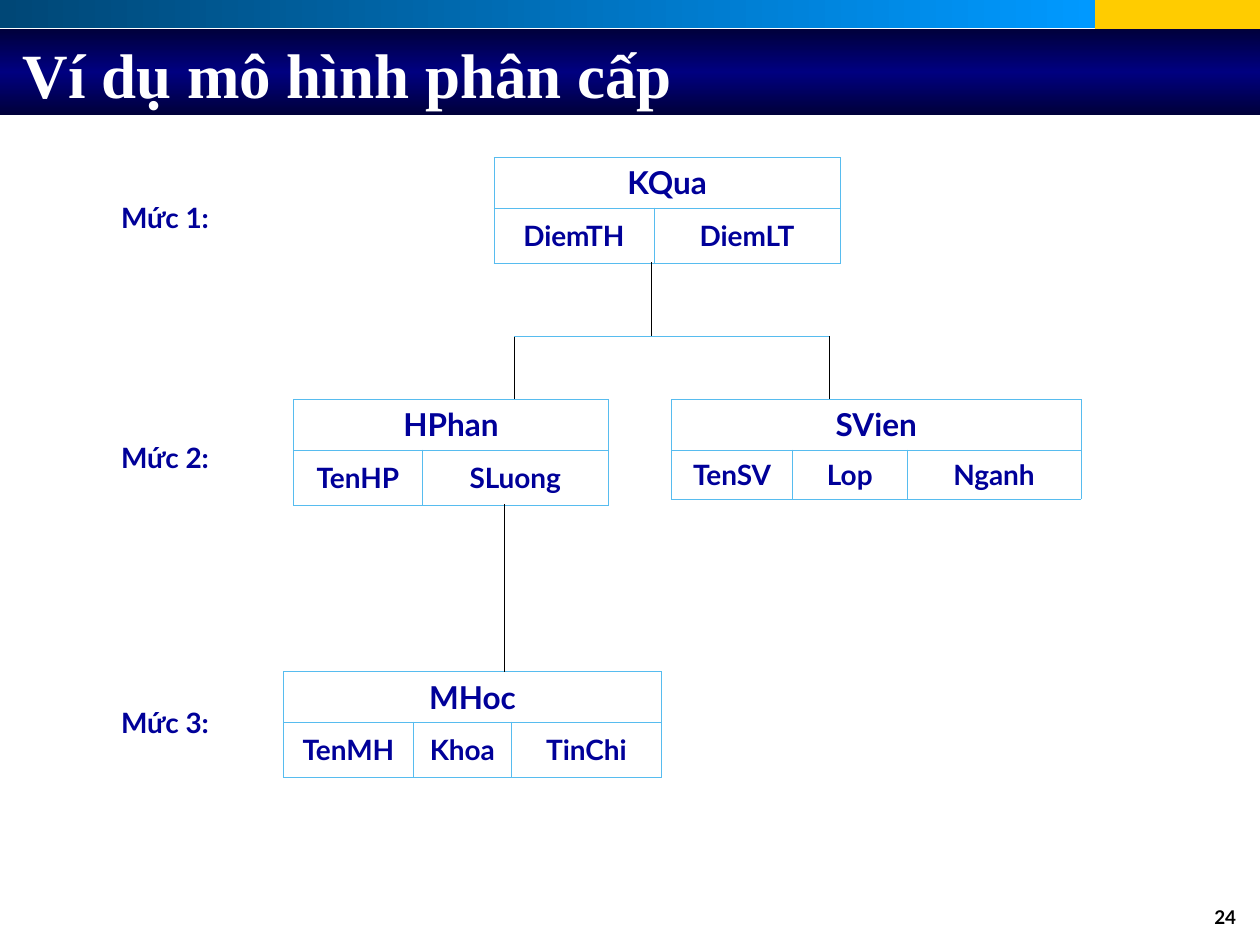
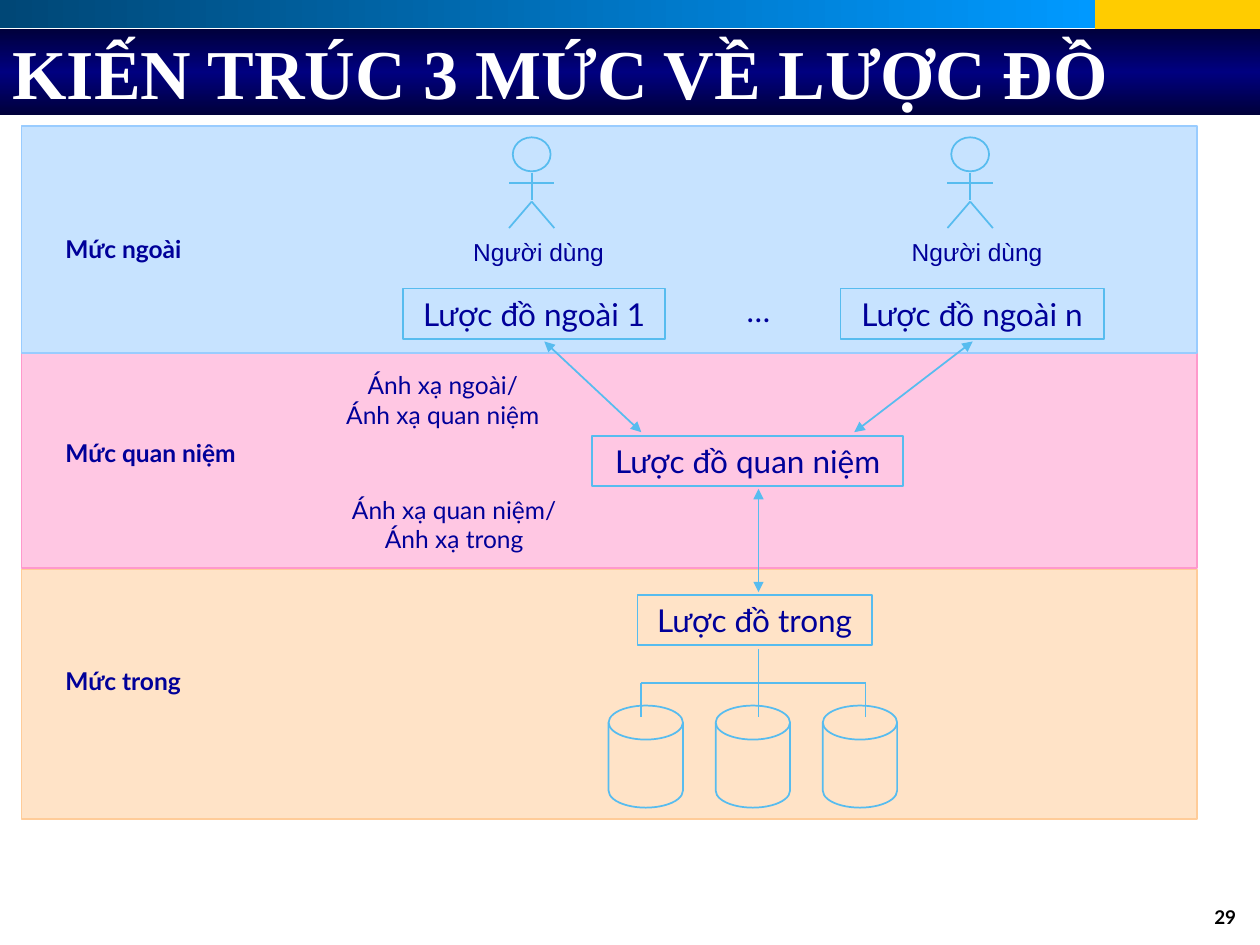
from pptx import Presentation
from pptx.dml.color import RGBColor
from pptx.enum.shapes import MSO_CONNECTOR, MSO_SHAPE
from pptx.enum.text import MSO_ANCHOR, MSO_AUTO_SIZE, PP_ALIGN
from pptx.oxml.ns import qn
from pptx.util import Inches, Pt
from lxml.etree import SubElement

COLORS = {
    "ink": "000099", "sky": "57BCEF", "black": "000000", "white": "FFFFFF",
    "yellow": "FFCC00", "teal": "004776", "azure": "0099FF",
    "midnight": "00003B", "navy": "000080",
    "blue": "99CCFF", "pink": "FF99CC", "orange": "FFCC99",
}
BODY_FONT, TITLE_FONT, USER_FONT = "Lato", "Times New Roman", "Arial"

TOP_BANDS = [
    ((8.69, 0, 1.31, 0.28), ["yellow"], 0),
    ((0, 0, 8.69, 0.22), ["teal", "azure"], 0),
    ((0, 0.23, 10, 0.68), ["midnight", "navy", "midnight"], 90),
]

HIERARCHY_TITLE = ("Ví dụ mô hình phân cấp", (0.08, 0.25, 9, 0.67), 36, "24")
HIERARCHY_LEVELS = [("Mức 1:", 1.54), ("Mức 2:", 3.45), ("Mức 3:", 5.55)]
RECORDS = [
    ("KQua", 3.92, 1.25, 0.44, [("DiemTH", 1.27), ("DiemLT", 1.48)]),
    ("HPhan", 2.33, 3.17, 0.44, [("TenHP", 1.02), ("SLuong", 1.48)]),
    ("SVien", 5.33, 3.17, 0.39, [("TenSV", 0.96), ("Lop", 0.91), ("Nganh", 1.38)]),
    ("MHoc", 2.25, 5.33, 0.44, [("TenMH", 1.03), ("Khoa", 0.78), ("TinChi", 1.19)]),
]
HEADER_HEIGHT = 0.4
FORK_LEFT, FORK_RIGHT, FORK_TOP = 4.08, 6.58, 2.67
RECORD_LINKS = [
    ((4, 4), (4, 5.33)),
    ((5.17, 2.08), (5.17, FORK_TOP)),
    ((FORK_LEFT, FORK_TOP), (FORK_LEFT, 3.17)),
    ((FORK_RIGHT, FORK_TOP), (FORK_RIGHT, 3.17)),
]

SCHEMA_TITLE = ("KIẾN TRÚC 3 MỨC VỀ LƯỢC ĐỒ", (0, 0.19, 9, 0.75), 40, "29")
SCHEMA_LEVELS = [
    ("Mức quan niệm", "pink", 2.8, 1.71, 3.43),
    ("Mức trong", "orange", 4.52, 1.98, 5.24),
    ("Mức ngoài", "blue", 1, 1.8, 1.81),
]
USERS = [("Người dùng", 4.22), ("Người dùng", 7.7)]
SCHEMAS = [
    ("Lược đồ ngoài 1", 3.2, 2.29, 2.08),
    ("Lược đồ ngoài n", 6.67, 2.29, 2.09),
    ("Lược đồ quan niệm", 4.7, 3.46, 2.47),
    ("Lược đồ trong", 5.06, 4.72, 1.86),
]
MAPPINGS = [
    ("Ánh xạ ngoài/\nÁnh xạ quan niệm", 2.54, 2.89),
    ("Ánh xạ quan niệm/\nÁnh xạ trong", 2.63, 3.88),
]
MAPPING_ARROWS = [
    ((6.02, 3.88), (6.02, 4.7)),
    ((4.32, 2.71), (5.09, 3.43)),
    ((7.72, 2.71), (6.78, 3.43)),
]
DISK_LEFT, DISK_PITCH, DISK_COUNT = 4.83, 0.85, 3
BUS_TOP, BUS_BOTTOM, BUS_LEFT, BUS_MIDDLE, BUS_RIGHT = 5.42, 5.69, 5.09, 6.02, 6.87


def color(name):
    return RGBColor.from_string(COLORS[name])


def inches(*lengths):
    return [Inches(length) for length in lengths]


def write(frame, text, size, tint="ink", font=BODY_FONT, bold=False,
          align=PP_ALIGN.CENTER, anchor=MSO_ANCHOR.TOP, wrap=True):
    frame.word_wrap = wrap
    frame.auto_size = MSO_AUTO_SIZE.NONE
    frame.vertical_anchor = anchor
    para = frame.paragraphs[0]
    para.text = text
    para.alignment = align
    para.font.name = font
    para.font.size = Pt(size)
    para.font.bold = bold
    para.font.color.rgb = color(tint)
    return para


def add_text(page, at, text, size, **style):
    box = page.shapes.add_textbox(*inches(*at))
    return write(box.text_frame, text, size, **style)


def add_shape(page, kind, at, line="sky"):
    shape = page.shapes.add_shape(kind, *inches(*at))
    shape.shadow.inherit = False
    shape.fill.background()
    if line:
        shape.line.color.rgb = color(line)
        shape.line.width = Pt(1)
    else:
        shape.line.fill.background()
    return shape


def add_line(page, start, end, tint="sky", width=1, arrows=False):
    line = page.shapes.add_connector(MSO_CONNECTOR.STRAIGHT, *inches(*start, *end))
    line.line.color.rgb = color(tint)
    line.line.width = Pt(width)
    properties = line.element.spPr
    if arrows:
        for tag in ("a:headEnd", "a:tailEnd"):
            SubElement(properties.find(qn("a:ln")), qn(tag), type="triangle")
    SubElement(properties, qn("a:effectLst"))


def add_top_bands(page, layout):
    for at, tints, angle in TOP_BANDS:
        band = add_shape(page, MSO_SHAPE.RECTANGLE, at, line=None)
        if len(tints) == 1:
            band.fill.solid()
            band.fill.fore_color.rgb = color(tints[0])
        else:
            band.fill.gradient()
            band.fill.gradient_angle = angle
            stops = band.fill._fill._gradFill.gsLst
            for stop in list(stops):
                stops.remove(stop)
            for index, tint in enumerate(tints):
                position = 100000 * index // (len(tints) - 1)
                stop = SubElement(stops, qn("a:gs"), pos=str(position))
                SubElement(stop, qn("a:srgbClr"), val=COLORS[tint])
        layout.shapes.element.append(band.element)


def add_page(deck, layout, heading):
    text, at, size, number = heading
    page = deck.slides.add_slide(layout)
    title = page.shapes.title
    title.left, title.top, title.width, title.height = inches(*at)
    write(title.text_frame, text, size, tint="white", font=TITLE_FONT, bold=True,
          align=PP_ALIGN.LEFT, anchor=MSO_ANCHOR.MIDDLE)
    para = add_text(page, (7.58, 7.17, 2.33, 0.32), number, 10.8, tint="black",
                    bold=True, align=PP_ALIGN.RIGHT)
    para.line_spacing = 0.8
    return page


def set_borders(cell, widths):
    properties = cell._tc.get_or_add_tcPr()
    for side, width in zip("LRTB", widths):
        border = SubElement(properties, qn(f"a:ln{side}"), w=str(Pt(width)))
        fill = SubElement(border, qn("a:solidFill"))
        SubElement(fill, qn("a:srgbClr"), val=COLORS["sky"])


def add_record(page, name, left, top, field_height, fields):
    widths = [width for _, width in fields]
    at = inches(left, top, sum(widths), HEADER_HEIGHT + field_height)
    table = page.shapes.add_table(2, len(fields), *at).table
    table.first_row = table.horz_banding = False
    for column, width in zip(table.columns, widths):
        column.width = Inches(width)
    for row, height in zip(table.rows, (HEADER_HEIGHT, field_height)):
        row.height = Inches(height)
    header = table.cell(0, 0)
    header.merge(table.cell(0, len(fields) - 1))
    outer, inner = 0.23, 0.45
    cells = [(header, name, 18, (outer, outer, outer, inner))]
    last = len(fields) - 1
    for index, (field, _) in enumerate(fields):
        borders = (inner if index else outer, inner if index < last else outer, inner, outer)
        cells.append((table.cell(1, index), field, 16, borders))
    for cell, text, size, borders in cells:
        write(cell.text_frame, text, size, bold=True)
        cell.vertical_anchor = MSO_ANCHOR.MIDDLE
        cell.margin_left = cell.margin_right = Inches(0.1)
        cell.margin_top = cell.margin_bottom = Inches(0.05)
        set_borders(cell, borders)
        cell.fill.background()


def build_hierarchy(page):
    for record in RECORDS:
        add_record(page, *record)
    for label, top in HIERARCHY_LEVELS:
        add_text(page, (0.84, top, 0.94, 0.37), label, 16, bold=True, wrap=False)
    for start, end in RECORD_LINKS:
        add_line(page, start, end, tint="black", width=0.5)
    add_line(page, (FORK_LEFT, FORK_TOP), (FORK_RIGHT, FORK_TOP))


def add_user(page, label, x):
    add_shape(page, MSO_SHAPE.OVAL, (x - 0.15, 1.09, 0.3, 0.27))
    add_line(page, (x, 1.37), (x, 1.59))
    add_line(page, (x - 0.18, 1.45), (x + 0.18, 1.45))
    for foot in (x - 0.18, x + 0.18):
        add_line(page, (x, 1.6), (foot, 1.81))
    add_text(page, (x - 0.58, 1.83, 1.27, 0.33), label, 14, font=USER_FONT,
             anchor=MSO_ANCHOR.MIDDLE)


def build_schemas(page):
    for label, tint, top, height, label_top in SCHEMA_LEVELS:
        level = add_shape(page, MSO_SHAPE.RECTANGLE, (0.17, top, 9.33, height), line=tint)
        level.fill.solid()
        level.fill.fore_color.rgb = color(tint)
        shade = level.element.spPr.find(qn("a:solidFill"))[0]
        SubElement(shade, qn("a:alpha"), val="55000")
        add_text(page, (0.42, label_top, 1.95, 0.34), label, 14, bold=True,
                 align=PP_ALIGN.LEFT)
    for label, x in USERS:
        add_user(page, label, x)
    for text, left, top, width in SCHEMAS:
        schema = add_shape(page, MSO_SHAPE.RECTANGLE, (left, top, width, 0.4))
        write(schema.text_frame, text, 18, anchor=MSO_ANCHOR.MIDDLE, wrap=False)
    add_text(page, (5.51, 2.26, 1.02, 0.4), "…", 18)
    for text, left, top in MAPPINGS:
        add_text(page, (left, top, 1.95, 0.57), text, 14)
    for start, end in MAPPING_ARROWS:
        add_line(page, start, end, arrows=True)
    for index in range(DISK_COUNT):
        left = DISK_LEFT + index * DISK_PITCH
        add_shape(page, MSO_SHAPE.FLOWCHART_MAGNETIC_DISK, (left, 5.6, 0.59, 0.81))
    add_line(page, (BUS_LEFT, BUS_TOP), (BUS_RIGHT, BUS_TOP))
    for x, top in ((BUS_LEFT, BUS_TOP), (BUS_MIDDLE, 5.15), (BUS_RIGHT, BUS_TOP)):
        add_line(page, (x, top), (x, BUS_BOTTOM))


def main():
    deck = Presentation()
    deck.slide_width, deck.slide_height = inches(10, 7.5)
    layout = deck.slide_layouts[5]
    hierarchy = add_page(deck, layout, HIERARCHY_TITLE)
    add_top_bands(hierarchy, layout)
    build_hierarchy(hierarchy)
    build_schemas(add_page(deck, layout, SCHEMA_TITLE))
    deck.save("out.pptx")


if __name__ == "__main__":
    main()
